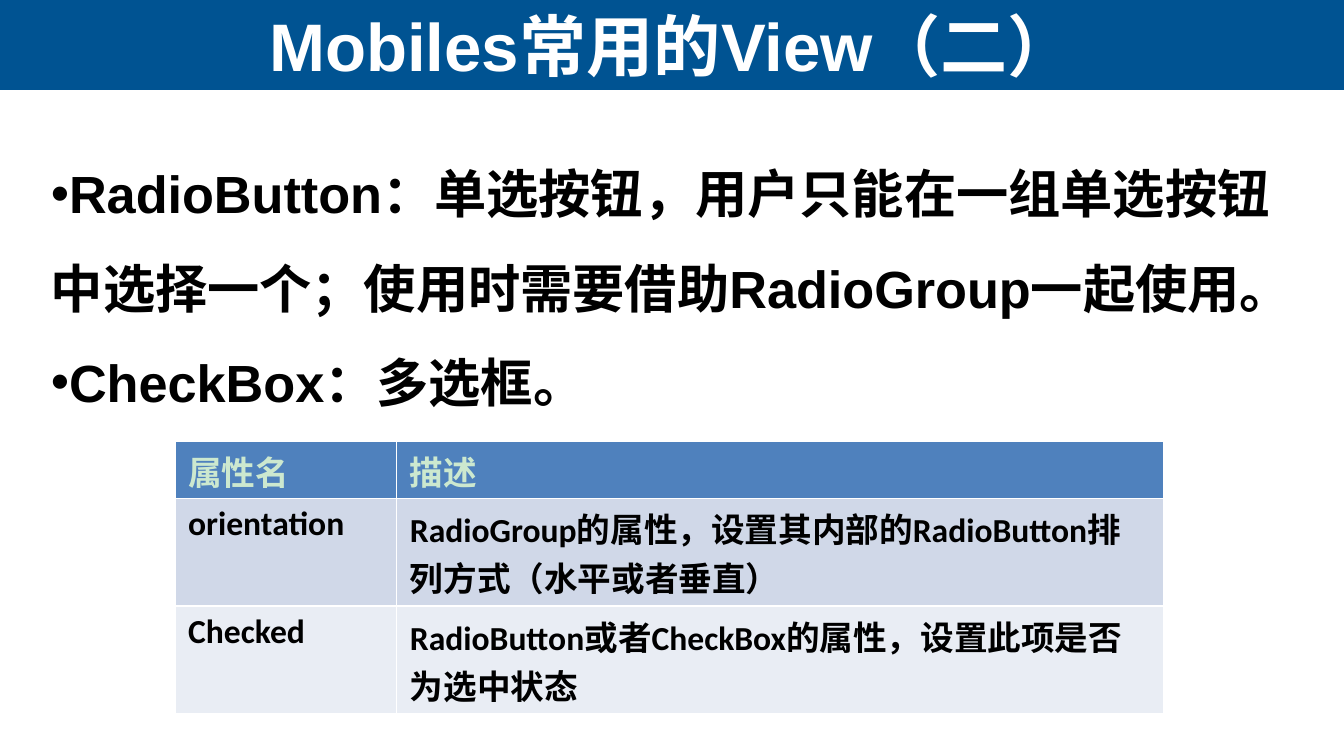
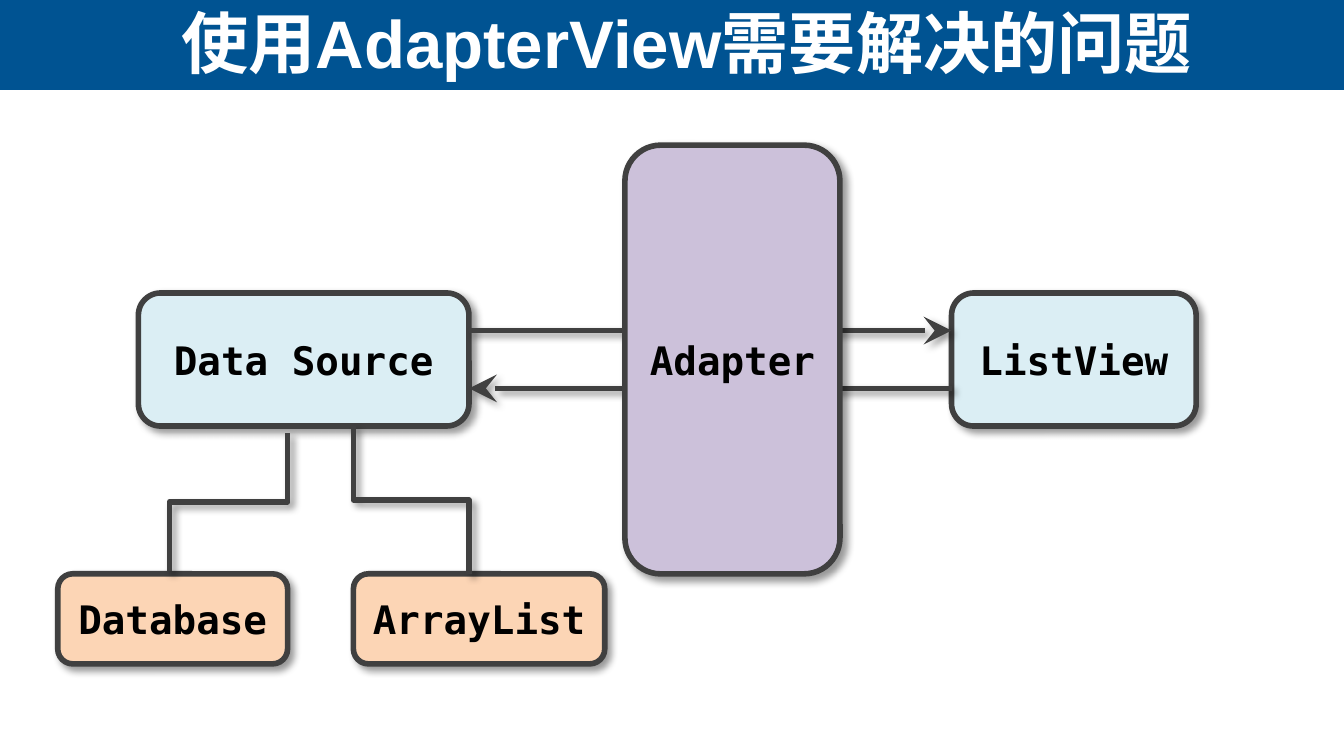
"""Build two slides on view widgets and the adapter between data and list."""
import dataclasses

import lxml.etree
import pptx
import pptx.dml.color
import pptx.enum.shapes
import pptx.enum.text
import pptx.oxml.ns
import pptx.util

Inches = pptx.util.Inches
Pt = pptx.util.Pt
qn = pptx.oxml.ns.qn
SHAPES = pptx.enum.shapes.MSO_SHAPE
CONNECTORS = pptx.enum.shapes.MSO_CONNECTOR
ALIGN = pptx.enum.text.PP_ALIGN
ANCHOR = pptx.enum.text.MSO_ANCHOR

WHITE, BLACK, BAND = "FFFFFF", "000000", "005392"
INK, SKY, PEACH, LILAC = "404040", "DBEEF4", "FCD5B5", "CCC1DA"
HEADER_FILL, HEADER_TEXT = "4F81BD", "CCE8CF"
ROW_FILLS = ("D0D8E8", "E9EDF4")


@dataclasses.dataclass(frozen=True)
class Area:
    left: float
    top: float
    width: float
    height: float

    def lengths(self) -> tuple:
        """Return the four measures as lengths."""
        return tuple(Inches(value) for value in dataclasses.astuple(self))


@dataclasses.dataclass(frozen=True)
class Font:
    name: str
    size: float
    color: str


@dataclasses.dataclass(frozen=True)
class Node:
    label: str
    area: Area
    fill: str


@dataclasses.dataclass(frozen=True)
class Link:
    start: tuple[float, float]
    end: tuple[float, float]
    arrow: str = ""


TITLE_FONT = Font("Arial", 36, WHITE)
BODY_FONT = Font("Arial", 28, BLACK)
NODE_FONT = Font("DejaVu Sans Mono", 21, BLACK)
HEADER_FONT = Font("Calibri", 18, HEADER_TEXT)
CELL_FONT = Font("Calibri", 18, BLACK)

BAND_AREA = Area(0, 0, 10, 0.67)
BULLETS = (
    "RadioButton：单选按钮，用户只能在一组单选按钮中选择一个；使用时需要借助RadioGroup一起使用。",
    "CheckBox：多选框。",
)
TABLE_AREA = Area(1.3, 3.28, 7.36, 2.03)
COLUMN_WIDTHS = (1.65, 5.71)
ROW_HEIGHTS = (0.43, 0.8, 0.8)
ATTRIBUTES = (
    ("属性名", "描述"),
    ("orientation", "RadioGroup的属性，设置其内部的RadioButton排列方式（水平或者垂直）"),
    ("Checked", "RadioButton或者CheckBox的属性，设置此项是否为选中状态"),
)
ENDPOINTS = (
    Node("ListView", Area(7.08, 2.18, 1.82, 0.99), SKY),
    Node("Data Source", Area(1.03, 2.18, 2.46, 0.99), SKY),
    Node("Database", Area(0.43, 4.27, 1.71, 0.67), PEACH),
    Node("ArrayList", Area(2.63, 4.27, 1.87, 0.67), PEACH),
)
ADAPTER = Node("Adapter", Area(4.65, 1.08, 1.6, 3.19), LILAC)
FLOWS = (
    Link((3.49, 2.46), (7.08, 2.46), "tailEnd"),
    Link((3.49, 2.89), (7.08, 2.89), "headEnd"),
)
BRANCHES = (
    Link((1.26, 4.25), (2.14, 3.22)),
    Link((3.49, 4.27), (2.63, 3.17)),
)


def rgb(value: str) -> pptx.dml.color.RGBColor:
    """Turn a hex string into a colour."""
    return pptx.dml.color.RGBColor.from_string(value)


def paint(target, color: str) -> None:
    """Give a shape, cell, line or background a solid fill."""
    target.fill.solid()
    target.fill.fore_color.rgb = rgb(color)


def add_xml(parent, tag: str, **attributes: str):
    """Append a drawing element and return it."""
    return lxml.etree.SubElement(parent, qn(tag), attributes)


def write(para, text: str, font: Font) -> None:
    """Add one bold run to a paragraph."""
    span = para.add_run()
    span.text = text
    span.font.name = font.name
    span.font.size = Pt(font.size)
    span.font.bold = True
    span.font.color.rgb = rgb(font.color)


def write_centred(shape, text: str, font: Font) -> None:
    """Write one line in the middle of a shape."""
    frame = shape.text_frame
    frame.word_wrap = False
    frame.vertical_anchor = ANCHOR.MIDDLE
    frame.paragraphs[0].alignment = ALIGN.CENTER
    write(frame.paragraphs[0], text, font)


def add_title_page(deck, title: str, area: Area):
    """Add a page with the shared band and its title."""
    page = deck.slides.add_slide(deck.slide_layouts[6])
    paint(page.background, WHITE)
    band = page.shapes.add_shape(SHAPES.RECTANGLE, *BAND_AREA.lengths())
    band.shadow.inherit = False
    paint(band, BAND)
    band.line.fill.background()
    box = page.shapes.add_textbox(*area.lengths())
    write_centred(box, title, TITLE_FONT)
    box.text_frame.word_wrap = True
    return page


def add_bullets(page, area: Area, lines: tuple[str, ...]) -> None:
    """Add the bulleted body text."""
    frame = page.shapes.add_textbox(*area.lengths()).text_frame
    frame.word_wrap = True
    for index, line in enumerate(lines):
        para = frame.add_paragraph() if index else frame.paragraphs[0]
        para.line_spacing = 1.5
        properties = para._p.get_or_add_pPr()
        add_xml(properties, "a:buFont", typeface="Arial")
        add_xml(properties, "a:buChar", char="•")
        write(para, line, BODY_FONT)


def border_cell(cell) -> None:
    """Draw thin white borders round a cell."""
    properties = cell._tc.get_or_add_tcPr()
    for tag in ("a:lnL", "a:lnR", "a:lnT", "a:lnB"):
        line = add_xml(properties, tag, w=str(Pt(1)))
        add_xml(add_xml(line, "a:solidFill"), "a:srgbClr", val=WHITE)


def add_attribute_table(page) -> None:
    """Add the table of attributes."""
    table = page.shapes.add_table(
        len(ATTRIBUTES), len(COLUMN_WIDTHS), *TABLE_AREA.lengths()
    ).table
    table.first_row = table.horz_banding = False
    for column, width in zip(table.columns, COLUMN_WIDTHS):
        column.width = Inches(width)
    for index, (row, height, texts) in enumerate(
        zip(table.rows, ROW_HEIGHTS, ATTRIBUTES)
    ):
        row.height = Inches(height)
        for cell, text in zip(row.cells, texts):
            cell.margin_left = cell.margin_right = Inches(0.1)
            cell.margin_top = cell.margin_bottom = Inches(0.04)
            border_cell(cell)
            paint(cell, ROW_FILLS[index - 1] if index else HEADER_FILL)
            font = CELL_FONT if index else HEADER_FONT
            write(cell.text_frame.paragraphs[0], text, font)


def outline(shape) -> None:
    """Give a shape or connector the dark line and soft shadow."""
    shape.line.color.rgb = rgb(INK)
    shape.line.width = Pt(3)
    effects = add_xml(shape.element.spPr, "a:effectLst")
    shadow = add_xml(
        effects, "a:outerShdw", blurRad=str(Pt(4)), dist=str(Pt(3)),
        dir=str(45 * 60000), algn="tl", rotWithShape="0",
    )
    color = add_xml(shadow, "a:srgbClr", val=BLACK)
    add_xml(color, "a:alpha", val="40000")


def add_node(page, node: Node) -> None:
    """Add a labelled rounded box."""
    box = page.shapes.add_shape(SHAPES.ROUNDED_RECTANGLE, *node.area.lengths())
    paint(box, node.fill)
    outline(box)
    write_centred(box, node.label, NODE_FONT)


def add_flow(page, link: Link) -> None:
    """Add a straight arrow."""
    ends = (Inches(value) for value in link.start + link.end)
    arrow = page.shapes.add_connector(CONNECTORS.STRAIGHT, *ends)
    outline(arrow)
    line = arrow.element.spPr.find(qn("a:ln"))
    add_xml(line, f"a:{link.arrow}", type="stealth", w="lg", len="lg")


def add_branch(page, link: Link) -> None:
    """Add an elbow that leaves and arrives vertically, by a quarter turn."""
    (x1, y1), (x2, y2) = link.start, link.end
    middle_x, middle_y = (x1 + x2) / 2, (y1 + y2) / 2
    half_x, half_y = (y2 - y1) / 2, (x1 - x2) / 2
    elbow = page.shapes.add_connector(
        CONNECTORS.ELBOW,
        Inches(middle_x - half_x), Inches(middle_y - half_y),
        Inches(middle_x + half_x), Inches(middle_y + half_y),
    )
    elbow.element.spPr.find(qn("a:xfrm")).set("rot", str(90 * 60000))
    outline(elbow)


def main() -> None:
    """Build and save the deck."""
    deck = pptx.Presentation()
    deck.slide_width = Inches(10)
    deck.slide_height = deck.slide_width * 9 // 16

    page = add_title_page(deck, "Mobiles常用的View（二）", BAND_AREA)
    add_bullets(page, Area(0.28, 0.92, 9.58, 3.71), BULLETS)
    add_attribute_table(page)

    page = add_title_page(
        deck, "使用AdapterView需要解决的问题", Area(0.61, -0.16, 9, 0.94)
    )
    for node in ENDPOINTS:
        add_node(page, node)
    for link in FLOWS:
        add_flow(page, link)
    add_node(page, ADAPTER)
    for link in BRANCHES:
        add_branch(page, link)

    deck.save("out.pptx")


if __name__ == "__main__":
    main()
